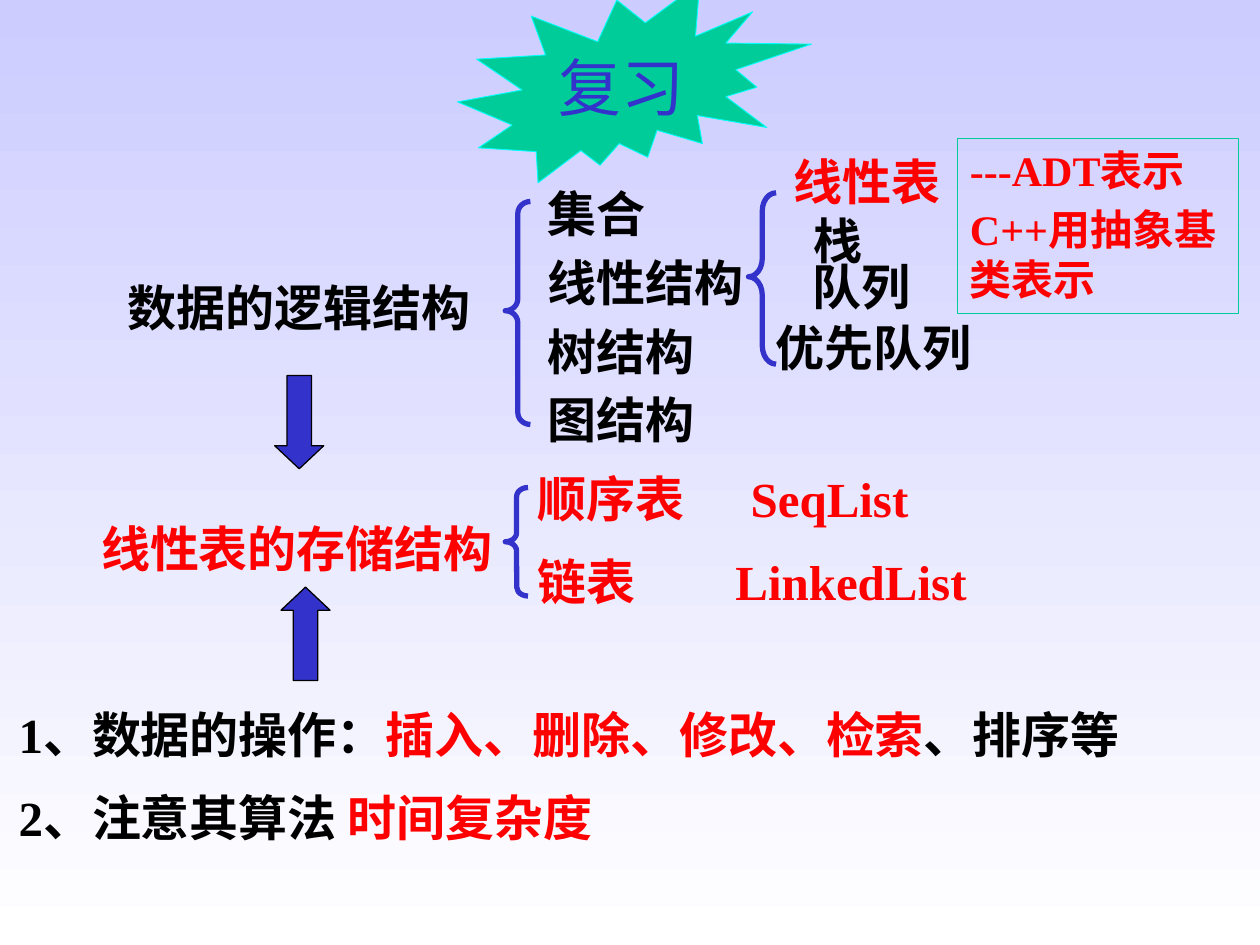
from lxml import etree
from pptx import Presentation
from pptx.dml.color import RGBColor
from pptx.enum.shapes import MSO_SHAPE
from pptx.enum.text import MSO_ANCHOR, MSO_AUTO_SIZE, PP_ALIGN
from pptx.oxml.ns import qn
from pptx.util import Pt

BRACE, ARROW = MSO_SHAPE.LEFT_BRACE, MSO_SHAPE.DOWN_ARROW
BURST, RECTANGLE = MSO_SHAPE.EXPLOSION2, MSO_SHAPE.RECTANGLE
TOP, MIDDLE = MSO_ANCHOR.TOP, MSO_ANCHOR.MIDDLE
LEFT, CENTER = PP_ALIGN.LEFT, PP_ALIGN.CENTER
NO_FIT = MSO_AUTO_SIZE.NONE

COLORS = {
    "sky": "CCCCFF",
    "white": "FFFFFF",
    "black": "000000",
    "red": "FF0000",
    "blue": "3333CC",
    "green": "00CC99",
    "cyan": "00FFFF",
}
BODY = {"name": "Times New Roman", "size": Pt(28), "bold": True}
NOTE = {**BODY, "size": Pt(24)}
TITLE = {"name": "Arial", "size": Pt(36), "bold": False}


def rgb(color):
    return RGBColor.from_string(COLORS[color])


def assign(target, values):
    for name, value in values.items():
        setattr(target, name, value)


class ReviewSlide:
    """Draws the elements of the review slide, with lengths in points."""

    def __init__(self, slide):
        self.slide = slide

    def background(self, *colors):
        fill = self.slide.background.fill
        fill.gradient()
        fill.gradient_angle = 270
        for stop, color in zip(fill.gradient_stops, colors):
            stop.color.rgb = rgb(color)

    def fill_text(self, shape, paragraphs, font=BODY, align=LEFT, anchor=TOP,
                  wrap=True, gap=0.5, tabs=()):
        frame = shape.text_frame
        assign(frame, {"word_wrap": wrap, "auto_size": NO_FIT, "vertical_anchor": anchor})
        for index, runs in enumerate(paragraphs):
            paragraph = frame.add_paragraph() if index else frame.paragraphs[0]
            space = Pt(font["size"].pt * gap) if index else Pt(0)
            assign(paragraph, {"alignment": align, "space_before": space})
            if tabs:
                stops = etree.SubElement(paragraph._p.get_or_add_pPr(), qn("a:tabLst"))
                etree.SubElement(stops, qn("a:tab"), pos=str(Pt(tabs[index])), algn="l")
            for text, color in runs:
                run = paragraph.add_run()
                run.text = text
                assign(run.font, font)
                run.font.color.rgb = rgb(color)

    def text(self, box, paragraphs, **style):
        self.fill_text(self.slide.shapes.add_textbox(*map(Pt, box)), paragraphs, **style)

    def label(self, box, text, color="black"):
        self.text(box, [[(text, color)]], align=CENTER, wrap=False)

    def shape(self, kind, box, line, width, fill=None, adjustments=(), rotation=0):
        shape = self.slide.shapes.add_shape(kind, *map(Pt, box))
        shape.shadow.inherit = False
        shape.rotation = rotation
        for index, value in enumerate(adjustments):
            shape.adjustments[index] = value
        shape.line.color.rgb = rgb(line)
        shape.line.width = Pt(width)
        if fill:
            shape.fill.solid()
            shape.fill.fore_color.rgb = rgb(fill)
        else:
            shape.fill.background()
        return shape

    def brace(self, box, curl, tip):
        self.shape(BRACE, box, "blue", 3, adjustments=(curl, tip))

    def arrow(self, left, top, rotation=0):
        self.shape(ARROW, (left, top, 28, 53.3), "black", 0.75, "blue", (0.5, 0.47), rotation)


def main():
    presentation = Presentation()
    assign(presentation, {"slide_width": Pt(720), "slide_height": Pt(540)})
    review = ReviewSlide(presentation.slides.add_slide(presentation.slide_layouts[6]))
    review.background("sky", "white")

    review.text((3.6, 398.9, 660, 92.2), [
        [("1、数据的操作：", "black"), ("插入、删除、修改、检索", "red"), ("、排序等", "black")],
        [("2、注意其算法 ", "black"), ("时间复杂度", "red")],
    ])
    review.label((58.3, 154.8, 225.4, 41), "数据的逻辑结构")
    review.label((41.8, 293, 255.6, 41), "线性表的存储结构", "red")

    review.brace((288.7, 278.6, 13, 62), 0.4, 0.5)
    review.brace((288.7, 115.2, 14.4, 127.4), 0.47, 0.49)
    review.text((300.2, 264.2, 326.2, 92.2),
                [[("顺序表\tSeqList", "red")], [("链表\tLinkedList", "red")]],
                tabs=(121.7, 113))
    structures = ("集合", "线性结构", "树结构", "图结构")
    review.text((306, 101.5, 348.5, 163.4),
                [[(structure, "black")] for structure in structures], gap=0.2)
    review.arrow(157, 214.6)
    review.arrow(160.6, 335.5, 180)

    review.brace((427.7, 110.2, 15.8, 97.9), 0.66, 0.49)
    review.text((458, 116.6, 69, 41), [[("栈", "black")]])
    review.label((438.5, 82.8, 113.8, 41), "线性表", "red")
    review.label((453, 143.3, 78.5, 41), "队列")
    review.label((427.7, 177.8, 142.6, 41), "优先队列")

    adt_note = review.shape(RECTANGLE, (547.2, 79.2, 160.6, 100), "green", 0.75)
    review.fill_text(adt_note, [[("---ADT表示", "red")], [("C++用抽象基类表示", "red")]],
                     font=NOTE, gap=0.2)
    title_burst = review.shape(BURST, (261.4, -10, 202.3, 114.5), "cyan", 0.5, "green")
    review.fill_text(title_burst, [[("复习", "blue")]], font=TITLE,
                     align=CENTER, anchor=MIDDLE, wrap=False)

    presentation.save("out.pptx")


if __name__ == "__main__":
    main()
